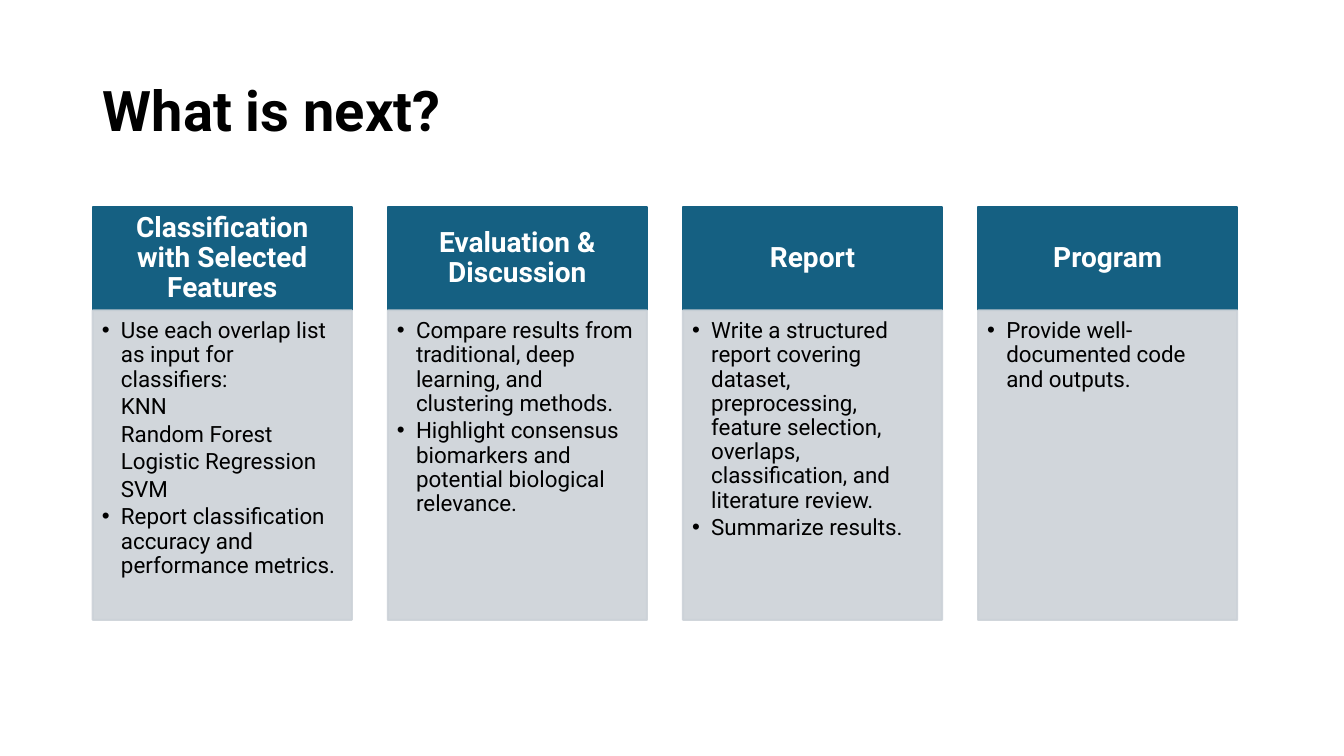
"""Build the "What is next?" slide: four columns of next steps."""
from lxml.etree import SubElement
from pptx import Presentation
from pptx.dml.color import RGBColor
from pptx.enum.shapes import MSO_SHAPE
from pptx.enum.text import MSO_ANCHOR, PP_ALIGN
from pptx.oxml.ns import qn
from pptx.util import Inches, Pt

TITLE = "What is next?"
STEPS = [
    ("Classification with Selected Features", [
        (1, "Use each overlap list as input for classifiers:"),
        (2, "KNN"),
        (2, "Random Forest"),
        (2, "Logistic Regression"),
        (2, "SVM"),
        (1, "Report classification accuracy and performance metrics."),
    ]),
    ("Evaluation & Discussion", [
        (1, "Compare results from traditional, deep learning, and clustering methods."),
        (1, "Highlight consensus biomarkers and potential biological relevance."),
    ]),
    ("Report", [
        (1, "Write a structured report covering dataset, preprocessing, feature "
            "selection, overlaps, classification, and literature review."),
        (1, "Summarize results."),
    ]),
    ("Program", [
        (1, "Provide well-documented code and outputs."),
    ]),
]

COLORS = {"header": "156082", "body": "CCD2D8", "light": "FFFFFF", "dark": "000000"}
FONT = "Roboto"
SLIDE_WIDTH, SLIDE_HEIGHT = 13.33, 7.5
LEFT, TOP = 0.92, 2.05
COLUMN_WIDTH, COLUMN_PITCH = 2.57, 2.927
HEADER_HEIGHT, BODY_HEIGHT = 1.03, 3.07
INDENT = 0.19
BODY_OPACITY = 90

TITLE_TEXT = {"size": Pt(40), "bold": True, "name": FONT}
HEADER_TEXT = {"size": Pt(20), "bold": True, "name": FONT}
BODY_TEXT = {"size": Pt(16), "bold": False, "name": FONT}
HEADER_INSETS = (0.16, 0.09, 0.16, 0.09)
BODY_INSETS = (0.09, 0.09, 0.12, 0.14)


def apply(target, values):
    for name, value in values.items():
        setattr(target, name, value)


def write(paragraph, text, style, color, alignment=PP_ALIGN.LEFT):
    apply(paragraph, {"alignment": alignment, "line_spacing": 0.9})
    run = paragraph.add_run()
    run.text = text
    apply(run.font, style)
    run.font.color.rgb = RGBColor.from_string(COLORS[color])


def add_box(slide, box, color, insets, anchor, opacity=100):
    shape = slide.shapes.add_shape(MSO_SHAPE.RECTANGLE, *map(Inches, box))
    shape.shadow.inherit = False
    shape.fill.solid()
    shape.line.width = Pt(1.5)
    for paint in (shape.fill.fore_color, shape.line.color):
        paint.rgb = RGBColor.from_string(COLORS[color])
    if opacity < 100:
        for paint in shape._element.spPr.iter(qn("a:srgbClr")):
            SubElement(paint, qn("a:alpha"), val=str(opacity * 1000))
    frame = shape.text_frame
    apply(frame, {"word_wrap": True, "vertical_anchor": anchor})
    sides = ("margin_left", "margin_top", "margin_right", "margin_bottom")
    apply(frame, dict(zip(sides, map(Inches, insets))))
    return frame


def add_item(paragraph, level, text):
    paragraph.level = level
    paragraph.space_after = Pt(2.4)
    properties = paragraph._p.get_or_add_pPr()
    properties.set("marL", str(Inches(INDENT * level)))
    properties.set("indent", str(-Inches(INDENT)))
    if level == 1:
        SubElement(properties, qn("a:buFont"), typeface="Arial")
        SubElement(properties, qn("a:buChar"), char="•")
    else:
        SubElement(properties, qn("a:buNone"))
    write(paragraph, text, BODY_TEXT, "dark")


def add_step(slide, column, heading, items):
    left = LEFT + column * COLUMN_PITCH
    header = add_box(slide, (left, TOP, COLUMN_WIDTH, HEADER_HEIGHT),
                     "header", HEADER_INSETS, MSO_ANCHOR.MIDDLE)
    write(header.paragraphs[0], heading, HEADER_TEXT, "light", PP_ALIGN.CENTER)
    body = add_box(slide, (left, TOP + HEADER_HEIGHT, COLUMN_WIDTH, BODY_HEIGHT),
                   "body", BODY_INSETS, MSO_ANCHOR.TOP, BODY_OPACITY)
    for index, (level, text) in enumerate(items):
        paragraph = body.add_paragraph() if index else body.paragraphs[0]
        add_item(paragraph, level, text)


def main():
    presentation = Presentation()
    apply(presentation, {"slide_width": Inches(SLIDE_WIDTH),
                         "slide_height": Inches(SLIDE_HEIGHT)})
    slide = presentation.slides.add_slide(presentation.slide_layouts[5])
    title = slide.shapes.title
    apply(title, {"left": Inches(LEFT), "top": Inches(0.4),
                  "width": Inches(11.5), "height": Inches(1.45)})
    title.text_frame.vertical_anchor = MSO_ANCHOR.MIDDLE
    write(title.text_frame.paragraphs[0], TITLE, TITLE_TEXT, "dark")
    for column, (heading, items) in enumerate(STEPS):
        add_step(slide, column, heading, items)
    presentation.save("out.pptx")


if __name__ == "__main__":
    main()
